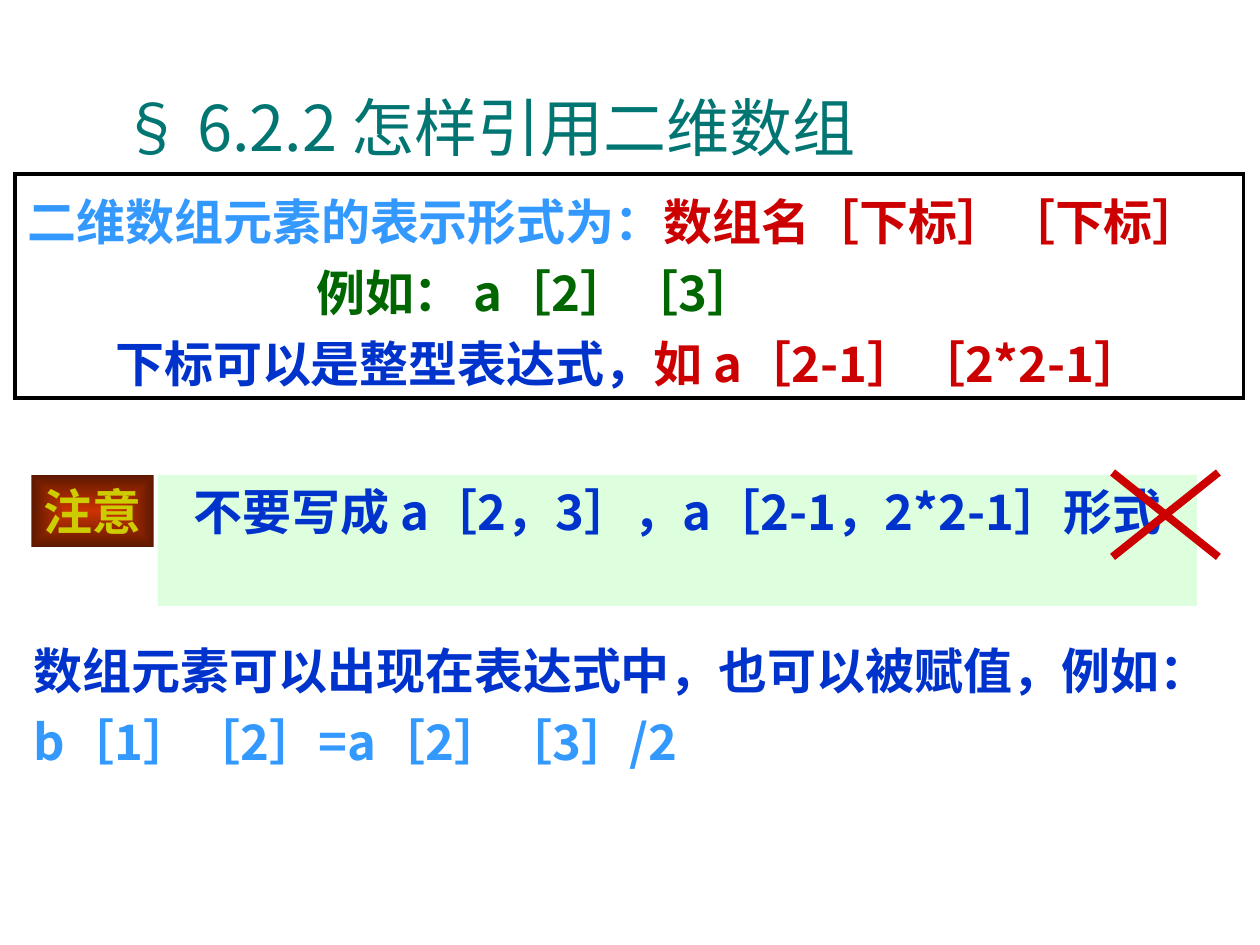
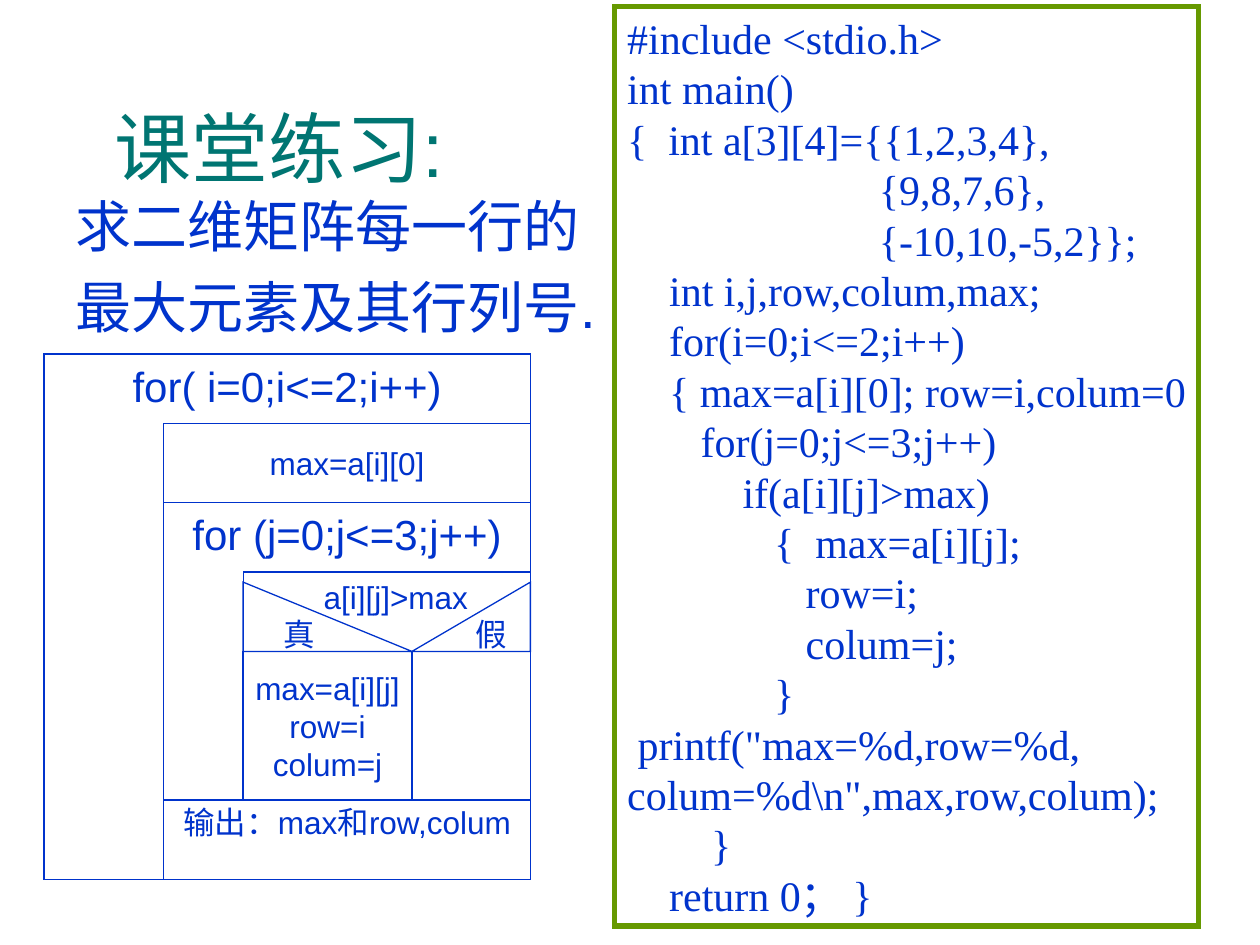
from dataclasses import dataclass

from lxml import etree
from pptx import Presentation
from pptx.dml.color import RGBColor
from pptx.enum.shapes import MSO_CONNECTOR, MSO_SHAPE
from pptx.enum.text import MSO_ANCHOR, MSO_AUTO_SIZE, PP_ALIGN
from pptx.oxml.ns import qn
from pptx.util import Pt

PX = 9144  # 100 px to the inch
RECT, WEDGE = MSO_SHAPE.RECTANGLE, MSO_SHAPE.RIGHT_TRIANGLE
LINE = MSO_CONNECTOR.STRAIGHT
LEFT, MID = PP_ALIGN.LEFT, PP_ALIGN.CENTER
TOP, CORE = MSO_ANCHOR.TOP, MSO_ANCHOR.MIDDLE
FIXED = MSO_AUTO_SIZE.NONE

TEAL = RGBColor(0x00, 0x75, 0x72)
BLUE = RGBColor(0x00, 0x33, 0xCC)
SKY = RGBColor(0x33, 0x99, 0xFF)
RED = RGBColor(0xCC, 0x00, 0x00)
GREEN = RGBColor(0x00, 0x66, 0x00)
LIME = RGBColor(0x66, 0x99, 0x00)
MINT = RGBColor(0xDD, 0xFF, 0xDD)
GOLD = RGBColor(0xCC, 0xCC, 0x00)
EMBER = RGBColor(0xCC, 0x33, 0x00)
RUST = RGBColor(0x5E, 0x18, 0x00)
BLACK = RGBColor(0, 0, 0)
WHITE = RGBColor(0xFF, 0xFF, 0xFF)

SANS, ARIAL, TIMES = "Noto Sans CJK SC", "Arial", "Times New Roman"


@dataclass(frozen=True)
class Style:
    size: int
    font: str = ARIAL
    color: RGBColor = BLUE
    bold: bool = False
    align: PP_ALIGN = MID
    gap: float = 1.0
    above: int = 0
    tab: int = 0


@dataclass(frozen=True)
class Bit:
    """A stretch of text with its own colour."""
    text: str
    color: RGBColor


@dataclass(frozen=True)
class Box:
    left: int
    top: int
    width: int
    height: int
    rows: tuple = ()
    style: Style = Style(18)
    kind: MSO_SHAPE = RECT
    line: RGBColor | None = BLUE
    weight: float = 0.75
    fill: RGBColor | None = None
    anchor: MSO_ANCHOR = TOP
    wrap: bool = False
    inset: int = 5
    flip: bool = False


BOLD = Style(28, SANS, bold=True)
NOTE = Style(28, SANS, bold=True, align=LEFT, gap=1.2)
HEAD = Style(24)
CODE = Style(24, TIMES, align=LEFT, tab=100)


def write(frame, rows: tuple, style: Style) -> None:
    """Fill a text frame; a row is a string or a tuple of bits."""
    for i, row in enumerate(rows):
        para = frame.paragraphs[0] if i == 0 else frame.add_paragraph()
        bits = (Bit(row, style.color),) if isinstance(row, str) else row
        para.alignment = style.align
        para.line_spacing = style.gap
        para.space_before = Pt(style.above if i else 0)
        if style.tab:
            tabs = etree.SubElement(para._p.get_or_add_pPr(), qn("a:tabLst"))
            etree.SubElement(tabs, qn("a:tab"), pos=str(style.tab * PX), algn="l")
        for bit in bits:
            run = para.add_run()
            run.text = bit.text
            font = run.font
            font.name, font.size, font.bold = style.font, Pt(style.size), style.bold
            font.color.rgb = bit.color
            east = etree.Element(qn("a:ea"), typeface=SANS)
            font._element.find(qn("a:latin")).addnext(east)


def place(shape, left: int, top: int, width: int, height: int) -> None:
    shape.left, shape.top = left * PX, top * PX
    shape.width, shape.height = width * PX, height * PX


def draw(slide, box: Box):
    sides = (box.left, box.top, box.width, box.height)
    shape = slide.shapes.add_shape(box.kind, *(n * PX for n in sides))
    shape.shadow.inherit = False
    if box.fill is None:
        shape.fill.background()
    else:
        shape.fill.solid()
        shape.fill.fore_color.rgb = box.fill
    if box.line is None:
        shape.line.fill.background()
    else:
        shape.line.color.rgb = box.line
        shape.line.width = Pt(box.weight)
        edge = shape._element.spPr.find(qn("a:ln"))
        etree.SubElement(edge, qn("a:miter"), lim="800000")
    if box.flip:
        shape._element.spPr.find(qn("a:xfrm")).set("flipH", "1")
    frame = shape.text_frame
    frame.word_wrap = box.wrap
    frame.vertical_anchor = box.anchor
    frame.margin_top = box.inset * PX
    write(frame, box.rows, box.style)
    return shape


def label(slide, box: Box) -> None:
    sides = (box.left, box.top, box.width, box.height)
    frame = slide.shapes.add_textbox(*(n * PX for n in sides)).text_frame
    frame.word_wrap = box.wrap
    write(frame, box.rows, box.style)


def title(slide, box: Box) -> None:
    shape = slide.shapes.title
    place(shape, box.left, box.top, box.width, box.height)
    shape.text_frame.auto_size = FIXED
    shape.text_frame.vertical_anchor = box.anchor
    write(shape.text_frame, box.rows, box.style)


def glow(shape, core: RGBColor, edge: RGBColor) -> None:
    """Fill a shape with a gradient that spreads from its centre."""
    shape.fill.gradient()
    for stop, color, spot in zip(shape.fill.gradient_stops, (core, edge), (0, 1)):
        stop.color.rgb, stop.position = color, spot
    grad = shape._element.spPr.find(qn("a:gradFill"))
    grad.remove(grad.find(qn("a:lin")))
    path = etree.SubElement(grad, qn("a:path"), path="rect")
    etree.SubElement(path, qn("a:fillToRect"), dict.fromkeys("ltrb", "50000"))


def cross(slide, left: int, top: int, right: int, base: int) -> None:
    for start, end in ((base, top), (top, base)):
        ends = (left, start, right, end)
        line = slide.shapes.add_connector(LINE, *(n * PX for n in ends))
        line.line.color.rgb = RED
        line.line.width = Pt(4.5)
        etree.SubElement(line._element.spPr, qn("a:effectLst"))


def refer(deck) -> None:
    slide = deck.slides.add_slide(deck.slide_layouts[5])
    title(slide, Box(35, 60, 704, 81, ("§ 6.2.2 怎样引用二维数组",),
                     Style(36, SANS, TEAL), anchor=CORE))

    # Form of an element
    form = draw(slide, Box(12, 138, 975, 178, (
        (Bit("二维数组元素的表示形式为：", SKY), Bit("数组名［下标］［下标］", RED)),
        (Bit("例如： a［2］［3］", GREEN),),
        (Bit("下标可以是整型表达式，", BLUE), Bit("如 a［2-1］［2*2-1］", RED)),
    ), NOTE, line=BLACK, weight=2, wrap=True))
    paras = form.text_frame.paragraphs
    paras[1]._p.get_or_add_pPr().set("marL", str(229 * PX))
    paras[2].alignment = MID

    # Warning
    badge = draw(slide, Box(25, 377, 97, 57, ("注意",),
                            Style(28, TIMES, GOLD, True), line=None))
    glow(badge, EMBER, RUST)
    draw(slide, Box(125, 377, 825, 104, ("不要写成 a［2，3］，a［2-1，2*2-1］形式",),
                    BOLD, line=None, fill=MINT, wrap=True))
    cross(slide, 883, 375, 967, 442)

    # Use in expressions
    label(slide, Box(17, 494, 967, 122, ((
        Bit("数组元素可以出现在表达式中，也可以被赋值，例如：", BLUE),
        Bit("b［1］［2］=a［2］［3］/2", SKY)),), NOTE, wrap=True))


def drill(deck) -> None:
    slide = deck.slides.add_slide(deck.slide_layouts[1])
    title(slide, Box(33, 75, 377, 125, ("课堂练习:",), Style(44, color=TEAL)))

    # Task
    body = slide.placeholders[1]
    place(body, 50, 147, 900, 495)
    body.text_frame.auto_size = FIXED
    write(body.text_frame, ("求二维矩阵每一行的", "最大元素及其行列号."),
          Style(32, align=LEFT, above=8))
    for para in body.text_frame.paragraphs:
        props = para._p.get_or_add_pPr()
        props.set("marL", "0")
        props.set("indent", "0")
        etree.SubElement(props, qn("a:buNone"))

    # Flow chart: all blocks share the right edge
    edge, outer, inner, split = 421, 130, 193, 327
    wide, slim = edge - outer, edge - inner
    yes, no = split - inner, edge - split
    for box in (
        Box(35, 281, edge - 35, 417, ("for( i=0;i<=2;i++)",), HEAD),
        Box(outer, 336, wide, 63, ("max=a[i][0]",), anchor=CORE),
        Box(outer, 399, wide, 236, ("for (j=0;j<=3;j++)",), HEAD),
        Box(inner, 454, slim, 181),
        Box(inner, 462, yes, 55, ("真",), kind=WEDGE, anchor=CORE),
        Box(split, 462, no, 55, ("假",), kind=WEDGE, anchor=CORE, flip=True),
        Box(inner, 517, yes, 118, ("max=a[i][j]", "row=i", "colum=j"), anchor=CORE),
        Box(outer, 635, wide, 63, ("输出：max和row,colum",), inset=2),
    ):
        draw(slide, box)
    label(slide, Box(247, 454, 160, 40, ("a[i][j]>max",),
                     Style(18, align=LEFT), wrap=True))

    # Program
    draw(slide, Box(488, 5, 463, 730, (
        "#include <stdio.h>",
        "int main()",
        "{  int a[3][4]={{1,2,3,4},",
        "                        {9,8,7,6},",
        "                        {-10,10,-5,2}};",
        "    int i,j,row,colum,max;",
        "    for(i=0;i<=2;i++)",
        "    { max=a[i][0]; row=i,colum=0",
        "       for(j=0;j<=3;j++)",
        "           if(a[i][j]>max)",
        "\t  {  max=a[i][j];",
        "\t     row=i;",
        "\t     colum=j;",
        "\t  }",
        " printf(\"max=%d,row=%d,",
        "colum=%d\\n\",max,row,colum);",
        "        }",
        "    return 0； }",
    ), CODE, line=LIME, weight=3, fill=WHITE))


def main() -> None:
    deck = Presentation()
    deck.slide_width, deck.slide_height = 1000 * PX, 750 * PX
    refer(deck)
    drill(deck)
    deck.save("out.pptx")


if __name__ == "__main__":
    main()
